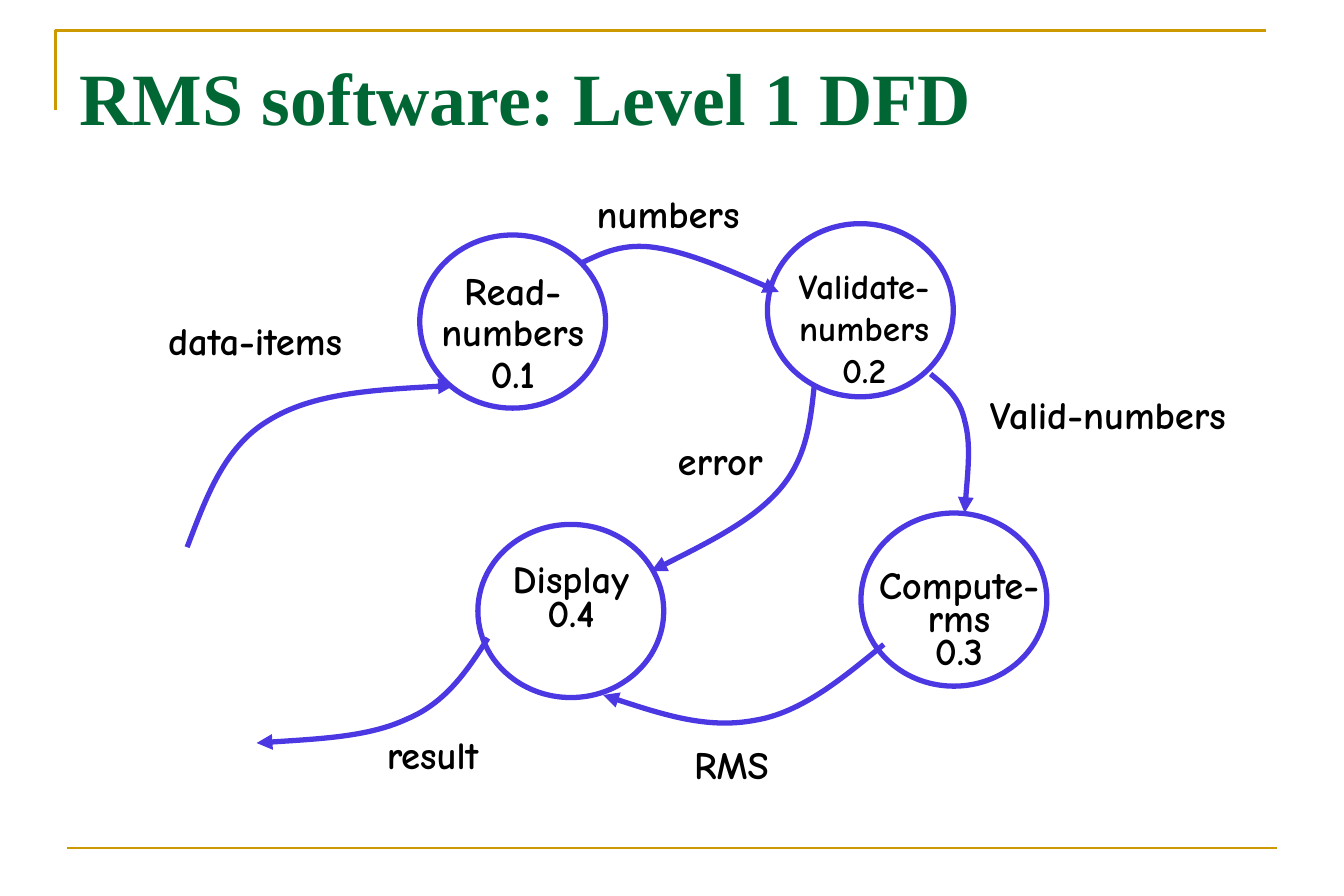
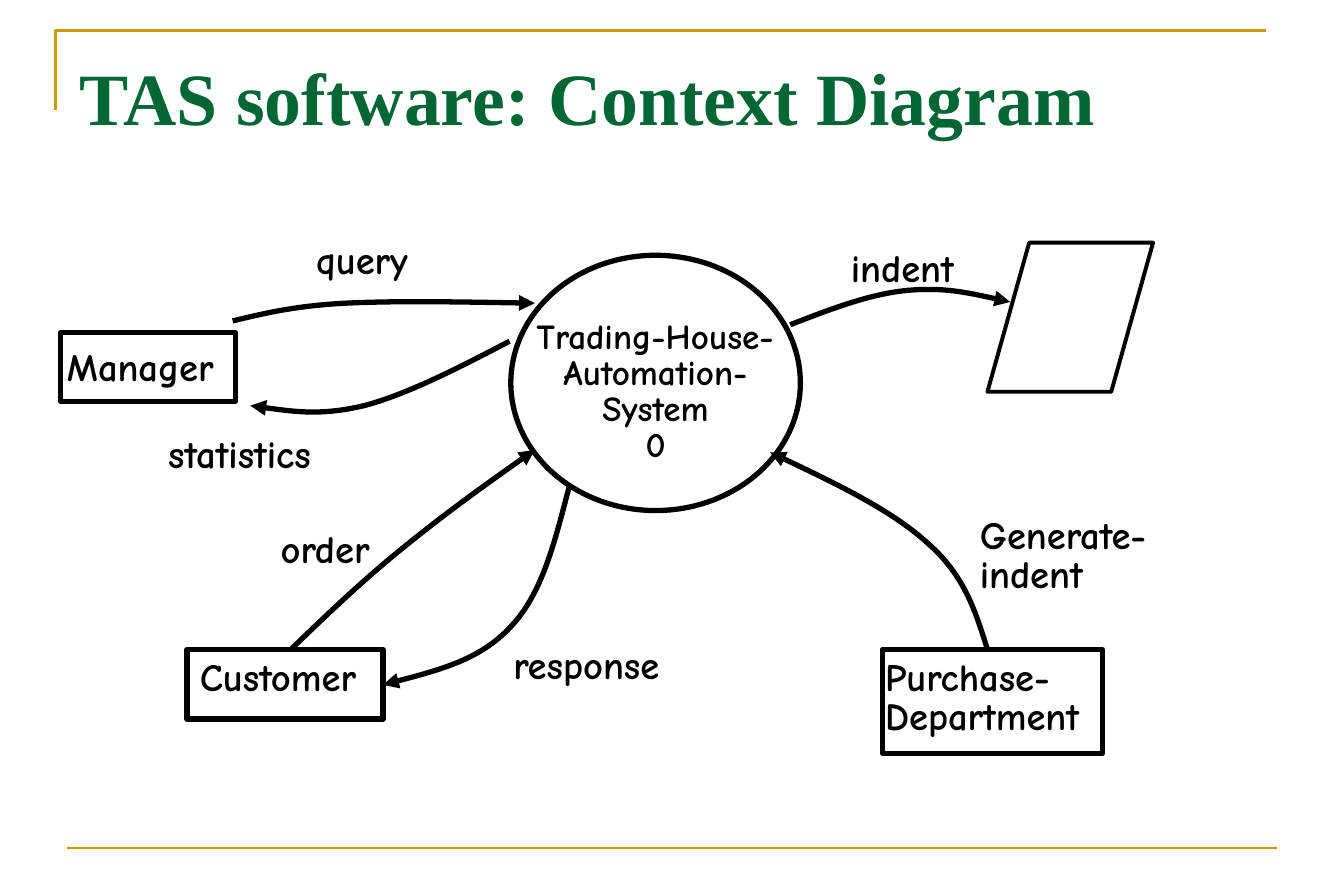
import dataclasses
import typing

import lxml.etree
import pptx
import pptx.dml.color
import pptx.enum.shapes
import pptx.enum.text
import pptx.oxml.ns
import pptx.util

Inches = pptx.util.Inches
Pt = pptx.util.Pt
Kind = pptx.enum.shapes.MSO_SHAPE
Align = pptx.enum.text.PP_ALIGN
qn = pptx.oxml.ns.qn

HUES = {"gold": "CC9900", "green": "006633", "blue": "4C38E2", "black": "000000"}
Point = tuple[float, float]


@dataclasses.dataclass(frozen=True)
class Node:
    left: float
    top: float
    width: float
    height: float
    kind: Kind = Kind.OVAL
    weight: float = 3
    bend: float | None = None


@dataclasses.dataclass(frozen=True)
class Label:
    text: str
    left: float
    top: float
    width: float
    height: float = 0.48
    size: float = 22
    space: float | None = None
    align: Align = Align.LEFT


@dataclasses.dataclass(frozen=True)
class Chart:
    title: str
    hue: str
    space: float
    nodes: list[Node]
    flows: list[list[Point]]
    labels: list[Label]


def paint(hue: str) -> pptx.dml.color.RGBColor:
    return pptx.dml.color.RGBColor.from_string(HUES[hue])


def ink(line: typing.Any, hue: str, weight: float) -> None:
    line.color.rgb = paint(hue)
    line.width = Pt(weight)


def style(part: typing.Any, face: str, size: float, hue: str) -> None:
    for run in part.runs:
        run.font.name = face
        run.font.size = Pt(size)
        run.font.bold = True
        run.font.color.rgb = paint(hue)


def trace(slide: typing.Any, points: list[Point], hue: str, weight: float) -> typing.Any:
    spots = [(Inches(x), Inches(y)) for x, y in points]
    pen = slide.shapes.build_freeform(*spots[0])
    pen.add_line_segments(spots[1:], close=False)
    shape = pen.convert_to_shape()
    shape.shadow.inherit = False
    shape.fill.background()
    ink(shape.line, hue, weight)
    return shape


def draw_flow(slide: typing.Any, points: list[Point], hue: str) -> None:
    shape = trace(slide, points, hue, 3)
    steps = list(shape._element.iter(qn("a:lnTo")))
    for first in range(0, len(steps), 3):
        curve = lxml.etree.Element(qn("a:cubicBezTo"))
        steps[first].addprevious(curve)
        for step in steps[first:first + 3]:
            curve.append(step[0])
            step.getparent().remove(step)
    edge = shape.line._get_or_add_ln()
    lxml.etree.SubElement(edge, qn("a:tailEnd"), type="triangle")


def draw_node(slide: typing.Any, node: Node, hue: str) -> None:
    shape = slide.shapes.add_shape(
        node.kind, Inches(node.left), Inches(node.top), Inches(node.width), Inches(node.height))
    shape.shadow.inherit = False
    shape.fill.background()
    ink(shape.line, hue, node.weight)
    if node.bend is not None:
        shape.adjustments[0] = node.bend


def draw_label(slide: typing.Any, label: Label, space: float) -> None:
    box = slide.shapes.add_textbox(
        Inches(label.left), Inches(label.top), Inches(label.width), Inches(label.height))
    frame = box.text_frame
    frame.word_wrap = True
    frame.margin_left = frame.margin_right = Inches(0.02)
    frame.margin_top = frame.margin_bottom = Inches(0.06)
    part = frame.paragraphs[0]
    part.text = label.text
    part.alignment = label.align
    part.line_spacing = label.space or space
    style(part, "Comic Neue", label.size, "black")


def set_frame(deck: typing.Any, layout: typing.Any, slide: typing.Any) -> None:
    bracket = trace(slide, [(0.44, 0.87), (0.44, 0.24), (10.01, 0.24)], "gold", 1.5)
    rule = slide.shapes.add_connector(
        pptx.enum.shapes.MSO_CONNECTOR.STRAIGHT,
        Inches(0.53), Inches(6.71), Inches(10.1), Inches(6.71))
    ink(rule.line, "gold", 1.5)
    lxml.etree.SubElement(rule._element.spPr, qn("a:effectLst"))
    for shape in (bracket, rule):
        layout.shapes._spTree.append(shape._element)


def set_title(slide: typing.Any, text: str) -> None:
    title = slide.shapes.title
    title.left, title.top = Inches(0.53), Inches(0.29)
    title.width, title.height = Inches(9.57), Inches(0.67)
    frame = title.text_frame
    frame.text = text
    frame.word_wrap = True
    frame.auto_size = pptx.enum.text.MSO_AUTO_SIZE.NONE
    frame.vertical_anchor = pptx.enum.text.MSO_ANCHOR.TOP
    frame.margin_top = Inches(0.12)
    part = frame.paragraphs[0]
    part.alignment = Align.LEFT
    style(part, "Times New Roman", 42, "green")


def draw_chart(slide: typing.Any, chart: Chart) -> None:
    set_title(slide, chart.title)
    for node in chart.nodes:
        draw_node(slide, node, chart.hue)
    for flow in chart.flows:
        draw_flow(slide, flow, chart.hue)
    for label in chart.labels:
        draw_label(slide, label, chart.space)


RMS = Chart(
    "RMS software: Level 1 DFD", "blue", 0.72,
    [Node(left, top, 1.47, 1.37)
     for left, top in [(3.32, 1.86), (3.78, 4.15), (6.07, 1.77), (6.81, 4.06)]],
    [
        [(1.48, 4.33), (1.63, 3.94), (1.77, 3.54), (2.12, 3.33),
         (2.47, 3.11), (3.03, 3.08), (3.59, 3.05)],
        [(4.6, 2.08), (4.77, 2), (4.93, 1.92), (5.19, 1.96),
         (5.45, 2), (5.8, 2.15), (6.16, 2.31)],
        [(7.36, 2.96), (7.47, 3.05), (7.59, 3.14), (7.63, 3.33),
         (7.68, 3.51), (7.65, 3.78), (7.63, 4.06)],
        [(6.99, 5.1), (6.66, 5.37), (6.34, 5.64), (5.97, 5.7),
         (5.6, 5.77), (5.19, 5.64), (4.77, 5.5)],
        [(3.86, 5.05), (3.7, 5.3), (3.53, 5.56), (3.22, 5.69),
         (2.92, 5.83), (2.47, 5.85), (2.03, 5.88)],
        [(6.44, 3.05), (6.41, 3.34), (6.38, 3.63), (6.16, 3.88),
         (5.95, 4.12), (5.55, 4.32), (5.15, 4.52)],
    ],
    [
        Label("data-items", 1.31, 2.54, 1.83, 0.84),
        Label("result", 3.04, 5.82, 1.1),
        Label("Read-numbers\n0.1", 3.32, 2.09, 1.47, 1.21, space=0.9, align=Align.CENTER),
        Label("Validate-numbers\n0.2", 6.1, 2.03, 1.47, 1.53, 20, 1.0, Align.CENTER),
        Label("Compute-rms\n0.3", 6.85, 4.47, 1.47, 1.21, align=Align.CENTER),
        Label("Display\n0.4", 3.78, 4.43, 1.47, 0.84, align=Align.CENTER),
        Label("RMS", 5.47, 5.9, 1.1),
        Label("numbers", 4.7, 1.54, 1.47),
        Label("error", 5.34, 3.49, 1.47),
        Label("Valid-numbers", 7.81, 3.13, 2.42, 1.18),
    ],
)

TAS = Chart(
    "TAS software: Context Diagram", "black", 0.85,
    [
        Node(4.04, 2.02, 2.29, 2.02),
        Node(0.48, 2.63, 1.38, 0.55, Kind.ROUNDED_RECTANGLE, bend=0),
        Node(1.48, 5.14, 1.55, 0.55, Kind.ROUNDED_RECTANGLE, bend=0),
        Node(6.98, 5.14, 1.74, 0.82, Kind.ROUNDED_RECTANGLE, bend=0),
        Node(7.81, 1.92, 1.31, 1.18, Kind.PARALLELOGRAM, 2.25, 0.28),
    ],
    [
        [(1.84, 2.54), (2.09, 2.48), (2.34, 2.42), (2.73, 2.4),
         (3.13, 2.38), (3.68, 2.39), (4.23, 2.4)],
        [(2.3, 5.14), (2.57, 4.88), (2.85, 4.61), (3.17, 4.35),
         (3.5, 4.08), (3.86, 3.82), (4.23, 3.56)],
        [(7.81, 5.14), (7.72, 4.86), (7.64, 4.57), (7.35, 4.31),
         (7.07, 4.05), (6.58, 3.81), (6.09, 3.58)],
        [(4.5, 3.86), (4.39, 4.28), (4.29, 4.7), (4.04, 4.96),
         (3.8, 5.22), (3.41, 5.32), (3.03, 5.42)],
        [(4.03, 2.7), (3.63, 2.91), (3.22, 3.12), (2.88, 3.21),
         (2.54, 3.29), (2.26, 3.25), (1.98, 3.21)],
        [(6.25, 2.57), (6.56, 2.45), (6.87, 2.33), (7.16, 2.3),
         (7.46, 2.27), (7.72, 2.33), (7.99, 2.39)],
    ],
    [
        Label("Trading-House-Automation-System\n0", 4.13, 2.48, 2.11, 1.43, 20,
              align=Align.CENTER),
        Label("Manager", 0.51, 2.71, 1.47),
        Label("Customer", 1.56, 5.16, 1.65),
        Label("Purchase-Department", 6.98, 5.16, 2.02, 0.84),
        Label("query", 2.48, 1.86, 1.38),
        Label("statistics", 1.31, 3.4, 1.72),
        Label("order", 2.2, 4.15, 1.38),
        Label("response", 4.04, 5.07, 1.69),
        Label("Generate-indent", 7.73, 4.04, 1.56, 0.84),
        Label("indent", 6.71, 1.93, 1.38),
    ],
)


def main() -> None:
    deck = pptx.Presentation()
    deck.slide_width, deck.slide_height = Inches(10.63), Inches(7.09)
    layout = deck.slide_layouts.get_by_name("Title Only")
    slides = [deck.slides.add_slide(layout) for _ in range(2)]
    set_frame(deck, layout, slides[0])
    for slide, chart in zip(slides, (RMS, TAS)):
        draw_chart(slide, chart)
    deck.save("out.pptx")


if __name__ == "__main__":
    main()
